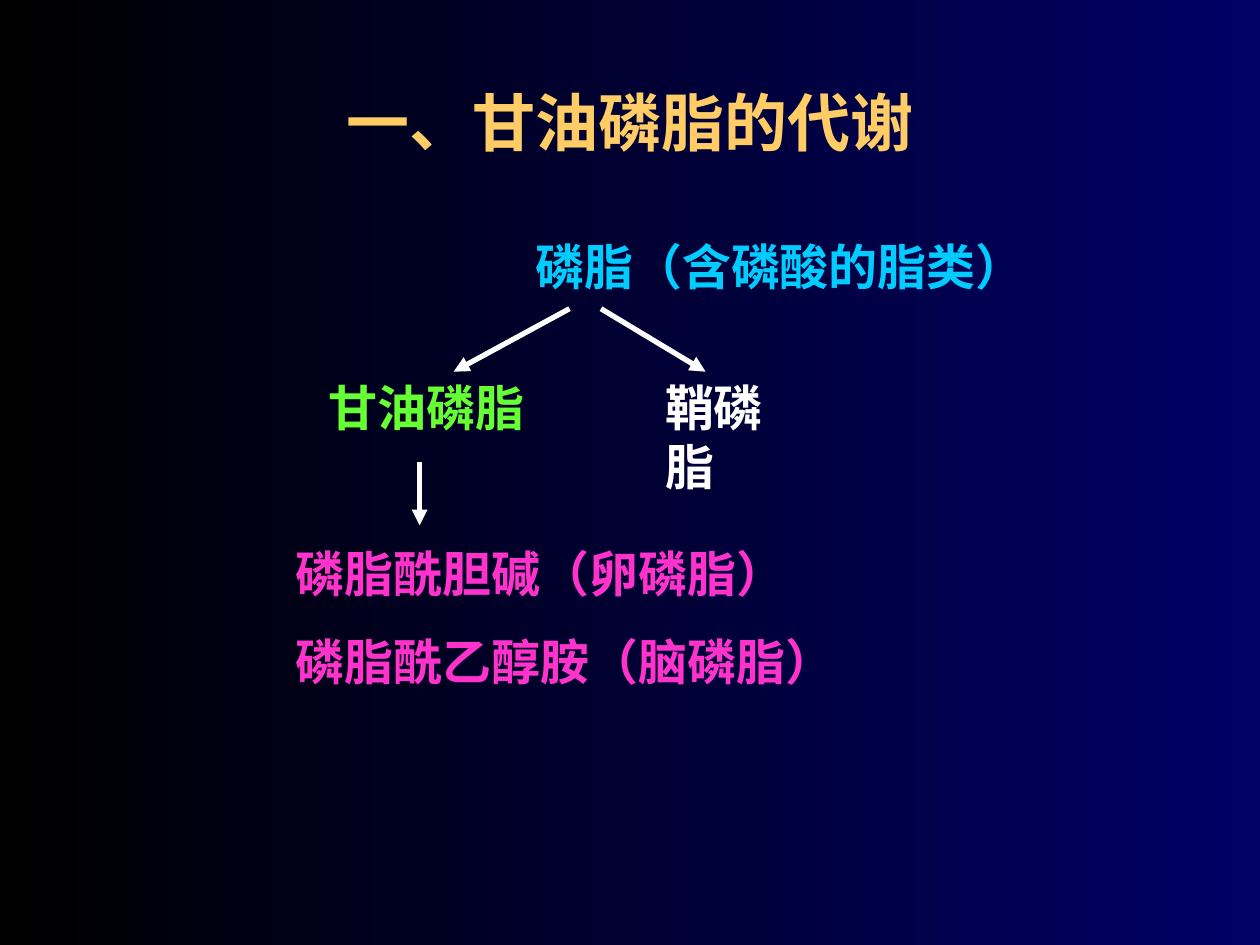
import pptx
import pptx.util
import pptx.dml.color
import pptx.enum.shapes
import pptx.enum.text
import pptx.oxml
import pptx.oxml.ns

Inches = pptx.util.Inches
Color = pptx.dml.color.RGBColor.from_string

THEME = {
    "font": "Times New Roman",
    "title_size": 36,
    "body_size": 28,
    "arrow_width": 3,
    "background": ("000000", "000066"),
    "title": "FFCC66",
    "root": "00CCFF",
    "glycero": "66FF33",
    "sphingo": "FFFFFF",
    "examples": "FF33CC",
    "arrow": "FFFFFF",
}

TITLE = ("一、甘油磷脂的代谢", (0.75, 0.5, 8.5, 0.92))
LABELS = [
    ("root", ["磷脂（含磷酸的脂类）"], (4.15, 1.83, 4.08, 0.57), 1.0),
    ("glycero", ["甘油磷脂"], (2.51, 2.95, 1.75, 0.57), 1.0),
    ("sphingo", ["鞘磷脂"], (5.18, 2.95, 1.36, 0.57), 1.0),
    ("examples", ["磷脂酰胆碱（卵磷脂）", "磷脂酰乙醇胺（脑磷脂）"],
     (2.25, 4.03, 4.47, 1.5), 1.5),
]
ARROWS = [
    (4.52, 2.45, 3.6, 2.95),
    (4.77, 2.45, 5.6, 2.95),
    (3.33, 3.67, 3.33, 4.17),
]


def set_values(target, values):
    for name, value in values.items():
        setattr(target, name, value)


def write_line(para, text, role, size, spacing=1.0):
    para.line_spacing = spacing
    span = para.add_run()
    span.text = text
    set_values(span.font, {
        "name": THEME["font"],
        "size": pptx.util.Pt(size),
        "bold": True,
    })
    span.font.color.rgb = Color(THEME[role])


def paint_background(page):
    fill = page.background.fill
    fill.gradient()
    fill.gradient_angle = 0
    for position, (stop, color) in enumerate(zip(fill.gradient_stops, THEME["background"])):
        stop.color.rgb = Color(color)
        stop.position = position


def add_title(page):
    text, place = TITLE
    title = page.shapes.title
    set_values(title, dict(zip(("left", "top", "width", "height"), map(Inches, place))))
    title.text_frame.vertical_anchor = pptx.enum.text.MSO_ANCHOR.MIDDLE
    para = title.text_frame.paragraphs[0]
    para.alignment = pptx.enum.text.PP_ALIGN.CENTER
    write_line(para, text, "title", THEME["title_size"])


def add_label(page, role, lines, place, spacing):
    frame = page.shapes.add_textbox(*map(Inches, place)).text_frame
    set_values(frame, {
        "word_wrap": False,
        "auto_size": pptx.enum.text.MSO_AUTO_SIZE.SHAPE_TO_FIT_TEXT,
    })
    for index, text in enumerate(lines):
        para = frame.add_paragraph() if index else frame.paragraphs[0]
        write_line(para, text, role, THEME["body_size"], spacing)


def add_arrow(page, ends):
    arrow = page.shapes.add_connector(
        pptx.enum.shapes.MSO_CONNECTOR.STRAIGHT, *map(Inches, ends))
    arrow.line.color.rgb = Color(THEME["arrow"])
    arrow.line.width = pptx.util.Pt(THEME["arrow_width"])
    tip = pptx.oxml.parse_xml(
        f'<a:tailEnd {pptx.oxml.ns.nsdecls("a")} type="triangle"/>')
    arrow.line._get_or_add_ln().append(tip)
    arrow._element.spPr.append(
        pptx.oxml.parse_xml(f'<a:effectLst {pptx.oxml.ns.nsdecls("a")}/>'))


def main():
    deck = pptx.Presentation()
    set_values(deck, {"slide_width": Inches(10), "slide_height": Inches(7.5)})
    page = deck.slides.add_slide(deck.slide_layouts[5])
    paint_background(page)
    add_title(page)
    for label in LABELS:
        add_label(page, *label)
    for ends in ARROWS:
        add_arrow(page, ends)
    deck.save("out.pptx")


if __name__ == "__main__":
    main()
